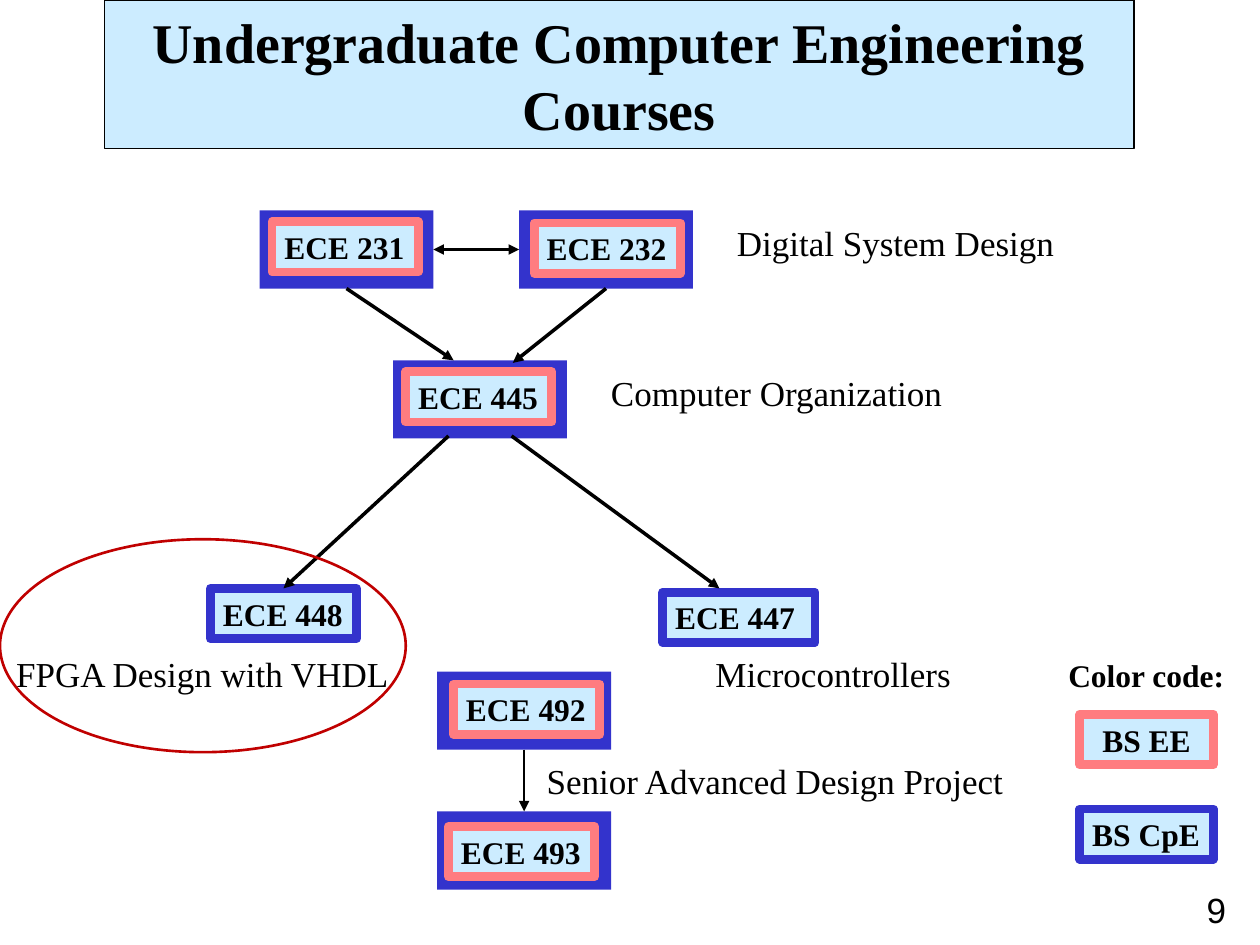
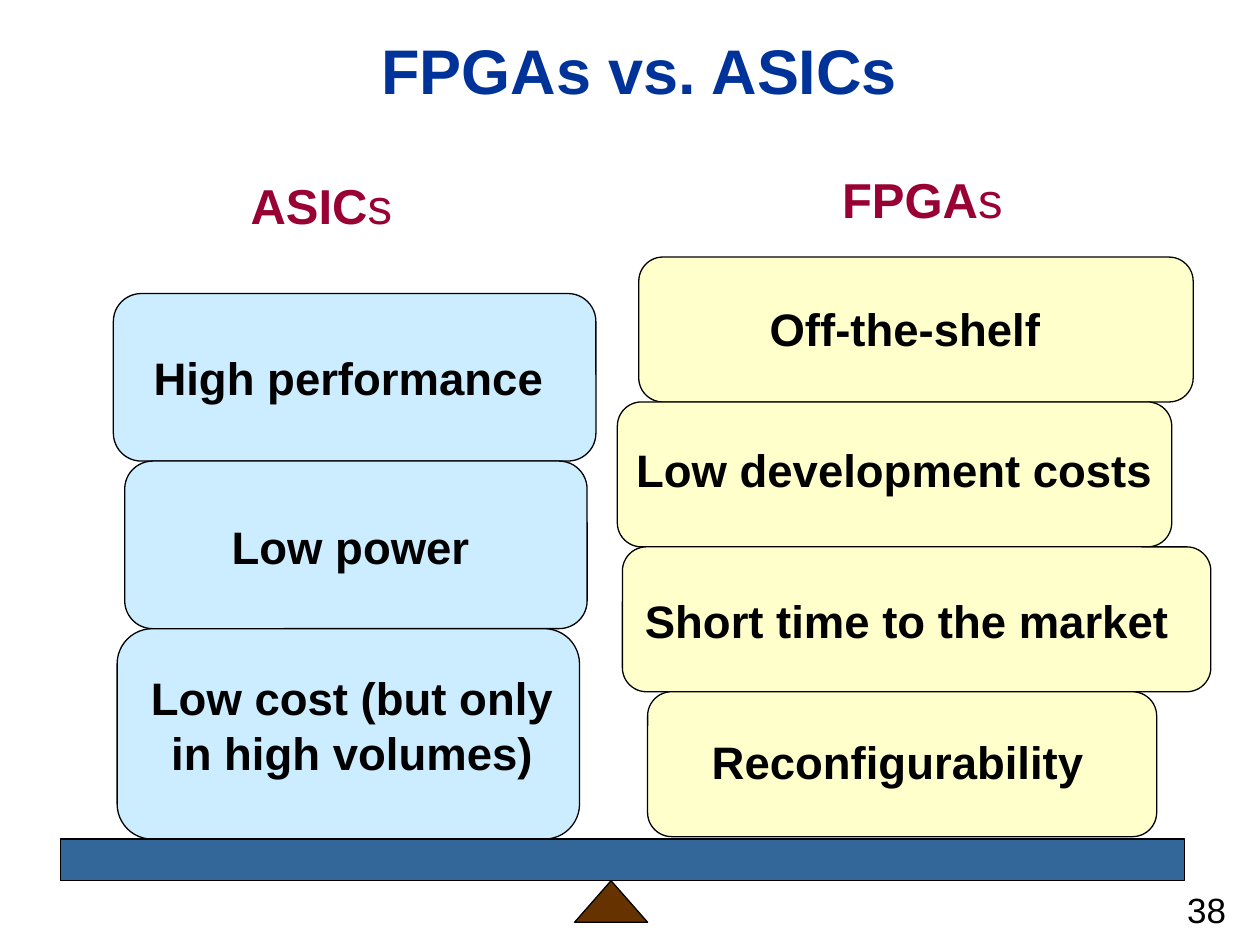
from lxml import etree
from pptx import Presentation
from pptx.dml.color import RGBColor
from pptx.enum.shapes import MSO_CONNECTOR, MSO_SHAPE
from pptx.enum.text import MSO_ANCHOR, MSO_AUTO_SIZE, PP_ALIGN
from pptx.oxml.ns import qn
from pptx.util import Inches, Pt

RECT = MSO_SHAPE.RECTANGLE
ROUNDED = MSO_SHAPE.ROUNDED_RECTANGLE
OVAL = MSO_SHAPE.OVAL
TRIANGLE = MSO_SHAPE.ISOSCELES_TRIANGLE
STRAIGHT = MSO_CONNECTOR.STRAIGHT
LEFT, CENTER, RIGHT = PP_ALIGN.LEFT, PP_ALIGN.CENTER, PP_ALIGN.RIGHT
TOP, MIDDLE = MSO_ANCHOR.TOP, MSO_ANCHOR.MIDDLE
NO_AUTOFIT = MSO_AUTO_SIZE.NONE

BLACK = RGBColor(0x00, 0x00, 0x00)
PALE_BLUE = RGBColor(0xCC, 0xEC, 0xFF)
PALE_YELLOW = RGBColor(0xFF, 0xFF, 0xCC)
CPE_BLUE = RGBColor(0x33, 0x33, 0xCC)
EE_PINK = RGBColor(0xFF, 0x7C, 0x80)
HIGHLIGHT_RED = RGBColor(0xC0, 0x00, 0x00)
TITLE_BLUE = RGBColor(0x00, 0x33, 0x99)
HEADING_RED = RGBColor(0x99, 0x00, 0x33)
BEAM_BLUE = RGBColor(0x33, 0x66, 0x99)
PIVOT_BROWN = RGBColor(0x66, 0x33, 0x00)

SERIF = "Times New Roman"
SANS = "Arial"
FRAME_W, FRAME_H = 1.38, 0.62
COURSE_W, COURSE_H = 1.16, 0.4
BEAM_TOP = 6.66


def write(sp, text, font, size, color=BLACK, bold=False, align=LEFT,
          wrap=False, anchor=TOP):
    tf = sp.text_frame
    tf.text = text
    tf.word_wrap = wrap
    tf.auto_size = NO_AUTOFIT
    tf.vertical_anchor = anchor
    for p in tf.paragraphs:
        p.alignment = align
        for r in p.runs:
            r.font.name = font
            r.font.size = Pt(size)
            r.font.bold = bold
            r.font.color.rgb = color
    return sp


def add_box(slide, kind, at, fill=None, line=None, width=0.75):
    sp = slide.shapes.add_shape(kind, *map(Inches, at))
    sp.shadow.inherit = False
    if fill is None:
        sp.fill.background()
    else:
        sp.fill.solid()
        sp.fill.fore_color.rgb = fill
    if line is None:
        sp.line.fill.background()
    else:
        sp.line.color.rgb = line
        sp.line.width = Pt(width)
    return sp


def add_label(slide, text, at, font, size, **style):
    sp = slide.shapes.add_textbox(*map(Inches, at))
    return write(sp, text, font, size, **style)


def set_title(slide, text, at, font, size, color, wrap):
    sp = slide.shapes.title
    sp.left, sp.top, sp.width, sp.height = map(Inches, at)
    return write(sp, text, font, size, color=color, bold=True, align=CENTER,
                 wrap=wrap, anchor=MIDDLE)


def add_page_number(slide, number):
    add_label(slide, number, (7.75, 7, 2.08, 0.5), SANS, 20, align=RIGHT,
              wrap=True)


def add_course(slide, text, left, top, border, width=COURSE_W, align=LEFT):
    sp = add_box(slide, RECT, (left, top, width, COURSE_H), PALE_BLUE, border, 5)
    return write(sp, text, SERIF, 18, bold=True, align=align)


def add_shared_course(slide, text, frame_at, inner_at):
    frame = add_box(slide, RECT, (*frame_at, FRAME_W, FRAME_H), CPE_BLUE)
    add_course(slide, text, *inner_at, EE_PINK)
    return frame


def add_arrow(slide, start, end, width=2, begin=None, finish=None, both=False):
    cn = slide.shapes.add_connector(STRAIGHT, *map(Inches, (*start, *end)))
    if begin:
        cn.begin_connect(*begin)
    if finish:
        cn.end_connect(*finish)
    cn.line.color.rgb = BLACK
    cn.line.width = Pt(width)
    ln = cn.line._get_or_add_ln()
    for tag in ("a:headEnd", "a:tailEnd") if both else ("a:tailEnd",):
        etree.SubElement(ln, qn(tag), type="triangle")
    etree.SubElement(cn._element.spPr, qn("a:effectLst"))


def build_courses(slide):
    title = set_title(slide, "Undergraduate Computer Engineering Courses",
                      (0.83, 0, 8.17, 1.18), SERIF, 32, BLACK, True)
    title.fill.solid()
    title.fill.fore_color.rgb = PALE_BLUE
    title.line.color.rgb = BLACK
    title.line.width = Pt(0.75)

    ece231 = add_shared_course(slide, "ECE 231", (2.06, 1.67), (2.16, 1.76))
    ece232 = add_shared_course(slide, "ECE 232", (4.12, 1.67), (4.24, 1.77))
    add_shared_course(slide, "ECE 445", (3.12, 2.86), (3.22, 2.95))
    ece492 = add_shared_course(slide, "ECE 492", (3.47, 5.33), (3.6, 5.43))
    ece493 = add_shared_course(slide, "ECE 493", (3.47, 6.44), (3.56, 6.56))
    ece448 = add_course(slide, "ECE 448", 1.67, 4.67, CPE_BLUE)
    add_course(slide, "ECE 447", 5.26, 4.7, CPE_BLUE, 1.21)

    add_arrow(slide, (3.44, 1.98), (4.12, 1.98), begin=(ece231, 3),
              finish=(ece232, 1), both=True)
    add_arrow(slide, (2.75, 2.29), (3.6, 2.86), begin=(ece231, 2))
    add_arrow(slide, (4.81, 2.29), (4.07, 2.88), begin=(ece232, 2))
    add_arrow(slide, (3.56, 3.46), (2.25, 4.67), finish=(ece448, 0))
    add_arrow(slide, (4.06, 3.46), (5.71, 4.67))
    add_arrow(slide, (4.16, 5.95), (4.16, 6.44), width=0.75,
              begin=(ece492, 2), finish=(ece493, 0))

    for text, left, top, width in (
        ("Digital System Design", 5.75, 1.71, 3.67),
        ("Computer Organization", 4.75, 2.9, 3.45),
        ("FPGA Design with VHDL", 0.03, 5.13, 3.22),
        ("Microcontrollers", 5.58, 5.13, 2.33),
        ("Senior Advanced Design Project", 4.24, 5.98, 3.93),
    ):
        add_label(slide, text, (left, top, width, 0.44), SERIF, 20, wrap=True)
    add_box(slide, OVAL, (0, 4.28, 3.22, 1.69), line=HIGHLIGHT_RED, width=1.5)

    add_label(slide, "Color code:", (8.38, 5.16, 1.45, 0.4), SERIF, 18,
              bold=True)
    add_course(slide, "BS EE", 8.57, 5.67, EE_PINK, 1.06, CENTER)
    add_course(slide, "BS CpE", 8.57, 6.42, CPE_BLUE, 1.06)
    add_page_number(slide, "9")


def add_heading(slide, name, at):
    sp = add_label(slide, name, at, SANS, 28, color=HEADING_RED, bold=True,
                   align=CENTER)
    r = sp.text_frame.paragraphs[0].add_run()
    r.text = "s"
    r.font.name = SANS
    r.font.size = Pt(28)
    r.font.bold = False
    r.font.color.rgb = HEADING_RED


def add_stack(slide, top, fill, blocks):
    for text, left, width, height, text_at in blocks:
        add_box(slide, ROUNDED, (left, top, width, height), fill, BLACK)
        align = CENTER if "\n" in text else LEFT
        add_label(slide, text, text_at, SANS, 26, bold=True, align=align)
        top += height


def build_comparison(slide):
    set_title(slide, "FPGAs vs. ASICs", (2.92, 0.2, 4.31, 0.7), SANS, 36,
              TITLE_BLUE, False)
    add_heading(slide, "ASIC", (1.89, 1.34, 1.32, 0.57))
    add_heading(slide, "FPGA", (6.58, 1.3, 1.48, 0.57))
    add_stack(slide, 2.33, PALE_BLUE, (
        ("High performance", 0.9, 3.83, 1.33, (1.12, 2.73, 3.29, 0.53)),
        ("Low power", 0.99, 3.67, 1.33, (1.74, 4.07, 2.09, 0.53)),
        ("Low cost (but only\nin high volumes)", 0.93, 3.67, 1.67,
         (1.05, 5.27, 3.49, 0.97)),
    ))
    add_stack(slide, 2.04, PALE_YELLOW, (
        ("Off-the-shelf", 5.07, 4.4, 1.15, (6.01, 2.34, 2.35, 0.53)),
        ("Low development costs", 4.9, 4.4, 1.15, (4.95, 3.46, 4.3, 0.53)),
        ("Short time to the market", 4.94, 4.67, 1.15,
         (5.02, 4.66, 4.36, 0.53)),
        ("Reconfigurability", 5.14, 4.04, 1.15, (5.55, 5.78, 3.15, 0.53)),
    ))
    add_box(slide, RECT, (0.48, BEAM_TOP, 8.92, 0.33), BEAM_BLUE, BLACK)
    add_box(slide, TRIANGLE, (4.56, BEAM_TOP + 0.33, 0.58, 0.33), PIVOT_BROWN,
            BLACK)
    add_page_number(slide, "38")


def main():
    prs = Presentation()
    prs.slide_width, prs.slide_height = Inches(10), Inches(7.5)
    title_only = prs.slide_layouts[5]
    for build in (build_courses, build_comparison):
        build(prs.slides.add_slide(title_only))
    prs.save("out.pptx")


if __name__ == "__main__":
    main()
